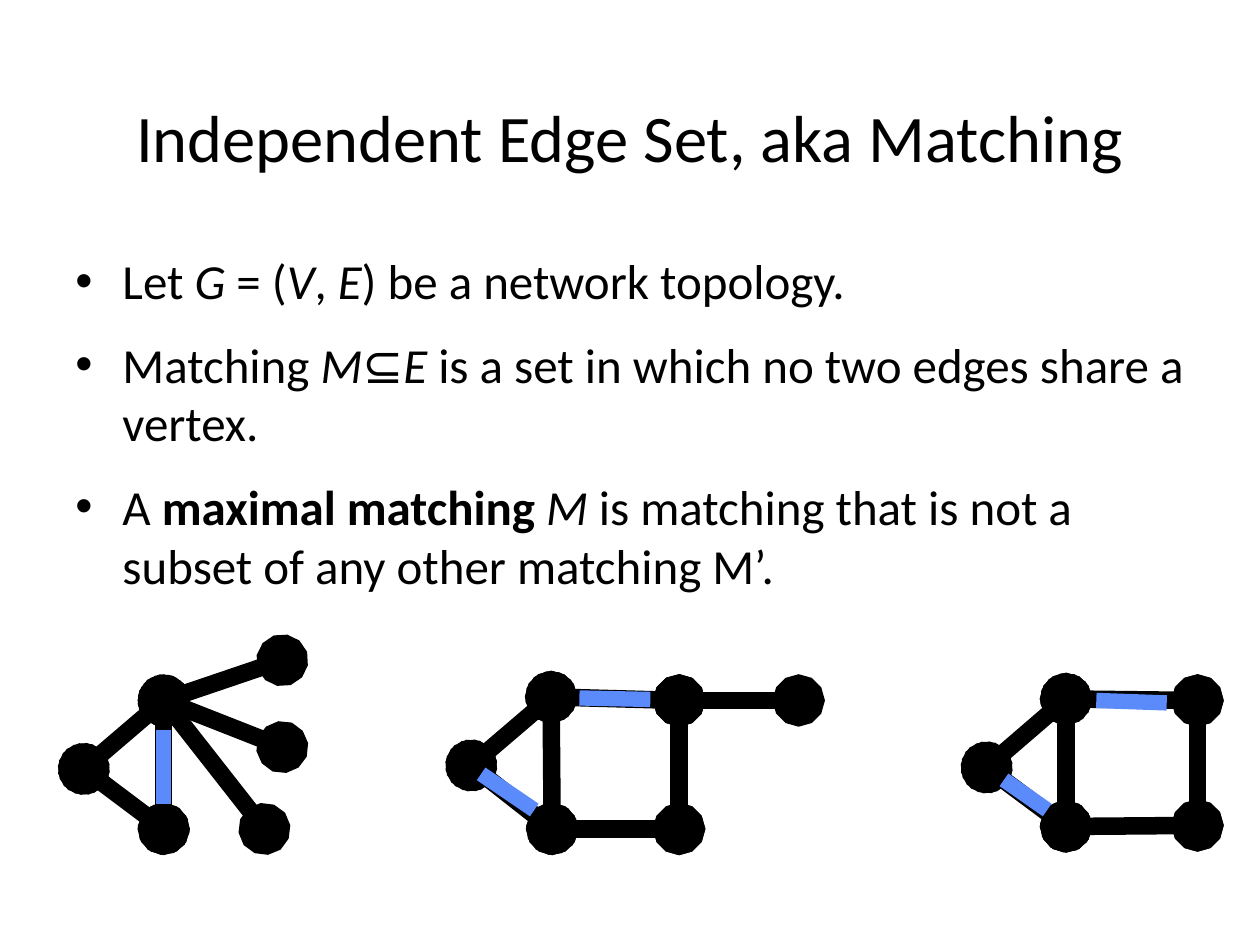
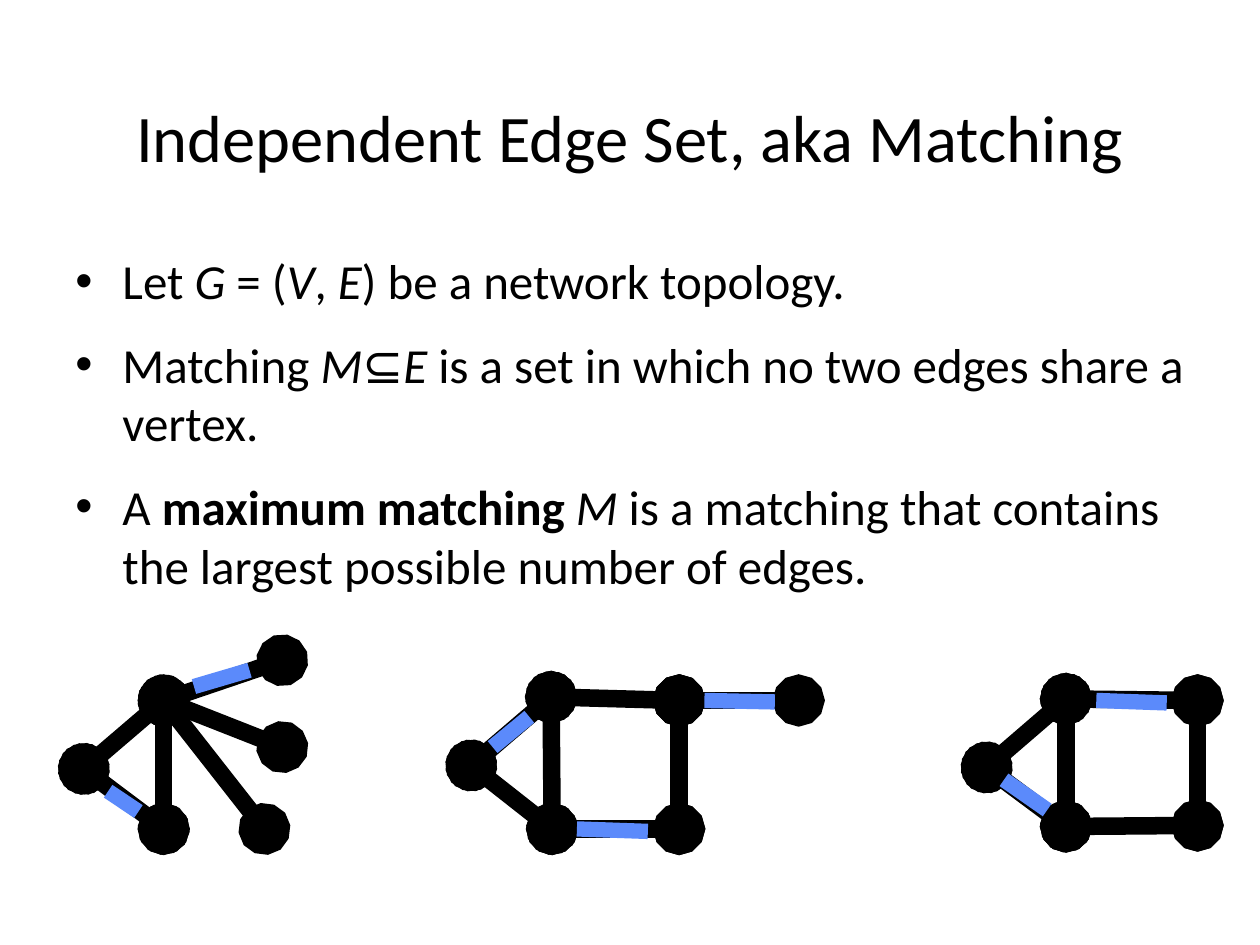
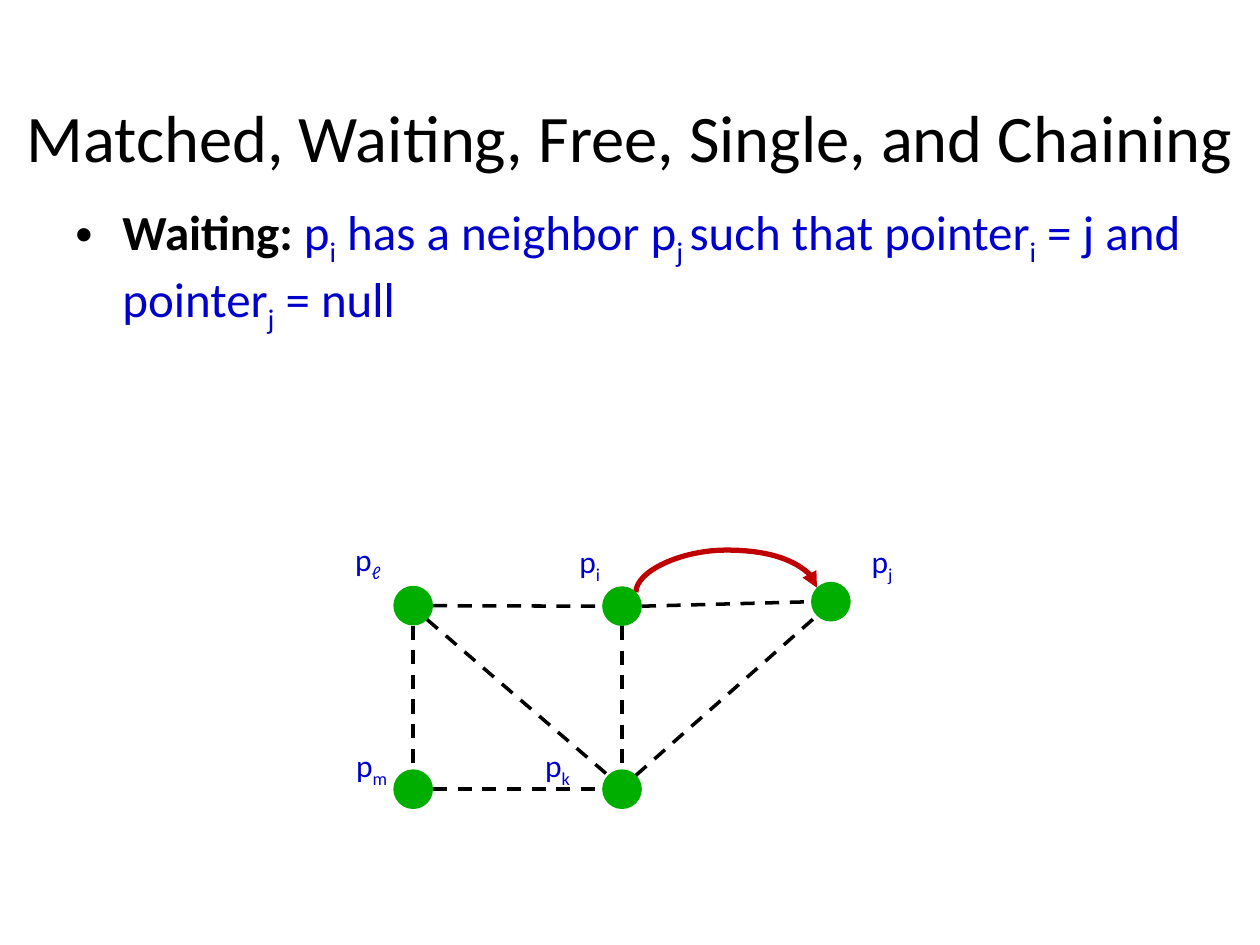
from lxml.etree import SubElement
from pptx import Presentation
from pptx.dml.color import RGBColor
from pptx.enum.dml import MSO_LINE
from pptx.enum.shapes import MSO_CONNECTOR as LINK, MSO_SHAPE
from pptx.enum.text import MSO_ANCHOR as ANCHOR, MSO_AUTO_SIZE as FIT, PP_ALIGN as ALIGN
from pptx.oxml.ns import qn
from pptx.util import Cm, Pt

BLACK = RGBColor(0x00, 0x00, 0x00)
MATCH_BLUE = RGBColor(0x5B, 0x8A, 0xFB)
TEXT_BLUE = RGBColor(0x00, 0x00, 0xCC)
NODE_GREEN = RGBColor(0x00, 0xAE, 0x00)
POINTER_RED = RGBColor(0xC0, 0x00, 0x00)

PLAIN = {}
BOLD = {"bold": True}
ITALIC = {"italic": True}
BLUE = {"color": TEXT_BLUE}
SUB = {"color": TEXT_BLUE, "baseline": -25000}

RADIUS = 0.4
DIAGONAL = 0.28
SITES = {
    "N": (0, -RADIUS), "S": (0, RADIUS), "W": (-RADIUS, 0), "E": (RADIUS, 0),
    "NW": (-DIAGONAL, -DIAGONAL), "NE": (DIAGONAL, -DIAGONAL),
    "SW": (-DIAGONAL, DIAGONAL), "SE": (DIAGONAL, DIAGONAL),
}

STAR_NODES = {
    "hub": (3.3, 14.12), "left": (1.69, 15.5), "low": (3.3, 16.71),
    "far low": (5.33, 16.71), "far top": (5.69, 13.31), "far middle": (5.69, 15.06),
}
STAR_EDGES = [("hub", "far low"), ("hub", "low"), ("hub", "left"), ("low", "left"),
              ("far top", "hub"), ("far middle", "hub")]
HOUSE_EDGES = [("top", "left"), ("low", "left"), ("far top", "top"), ("top", "low"),
               ("far top", "far low"), ("far low", "low")]
KITE_NODES = {
    "top": (11.11, 14.05), "left": (9.5, 15.43), "low": (11.13, 16.71),
    "far top": (13.69, 14.12), "far low": (13.69, 16.71), "tail": (16.1, 14.12),
}
KITE_EDGES = HOUSE_EDGES + [("tail", "far top")]
HOUSE_NODES = {
    "top": (21.49, 14.09), "left": (19.89, 15.47), "low": (21.49, 16.66),
    "far top": (24.14, 14.12), "far low": (24.14, 16.64),
}
HOUSE_MATCHING = [((22.1, 14.12), (23.52, 14.17)), ((20.24, 15.72), (21.11, 16.33))]
MAXIMAL_MATCHING = HOUSE_MATCHING + [
    ((3.3, 14.71), (3.3, 16.21)),
    ((11.68, 14.07), (13.11, 14.1)), ((9.7, 15.6), (10.77, 16.33)),
]
MAXIMUM_MATCHING = HOUSE_MATCHING + [
    ((2.18, 15.95), (2.79, 16.36)), ((3.91, 13.84), (5.03, 13.51)),
    ((14.2, 14.12), (15.62, 14.15)), ((9.93, 15.06), (10.67, 14.45)),
    ((11.63, 16.71), (13.06, 16.76)),
]

MATCHING_TITLE = "Independent Edge Set, aka Matching"
TOPOLOGY = [("Let ", PLAIN), ("G", ITALIC), (" = (", PLAIN), ("V", ITALIC), (", ", PLAIN),
            ("E", ITALIC), (") be a network topology.", PLAIN)]
MATCHING = [("Matching ", PLAIN), ("M", ITALIC), ("⊆", PLAIN), ("E ", ITALIC),
            ("is a set in which no two edges share a vertex.", PLAIN)]
WAITING = [("Waiting:", BOLD), (" p", BLUE), ("i", SUB), (" has a neighbor p", BLUE),
           ("j ", SUB), ("such that pointer", BLUE), ("i", SUB), (" = j and pointer", BLUE),
           ("j", SUB), (" = null", BLUE)]

PROCESSES = {"ℓ": (8.33, 12.21), "i": (12.54, 12.22), "j": (16.75, 12.13),
             "k": (12.54, 15.91), "m": (8.33, 15.91)}
LABELS = {"ℓ": (6.91, 10.77, 1.07), "i": (11.43, 10.8, 0.94), "j": (17.32, 10.8, 0.94),
          "k": (10.74, 14.91, 1.04), "m": (6.93, 14.91, 1.19)}
LINKS = [("i", "E", "j", "W"), ("i", "S", "k", "N"), ("ℓ", "SE", "k", "NW"),
         ("ℓ", "E", "i", "W"), ("k", "NE", "j", "SW"), ("ℓ", "S", "m", "N"),
         ("m", "E", "k", "W")]


class Deck:
    """Holds the shared style and the slide being filled."""

    font = "Calibri"

    def __init__(self):
        self.prs = Presentation()
        self.prs.slide_width, self.prs.slide_height = Cm(25.4), Cm(19.05)
        self.shapes = None

    def new_slide(self, title, left=1.27, width=22.86):
        self.shapes = self.prs.slides.add_slide(self.prs.slide_layouts[6]).shapes
        frame = self.text_frame(left, 1.14, width, 3.18, vertical_anchor=ANCHOR.MIDDLE)
        frame.paragraphs[0].alignment = ALIGN.CENTER
        self.add_runs(frame.paragraphs[0], [(title, PLAIN)], 38)

    def text_frame(self, left, top, width, height, **settings):
        frame = self.shapes.add_textbox(Cm(left), Cm(top), Cm(width), Cm(height)).text_frame
        for name, value in {"word_wrap": True, **settings}.items():
            setattr(frame, name, value)
        return frame

    def add_runs(self, paragraph, runs, size):
        for text, style in runs:
            run = paragraph.add_run()
            run.text = text
            settings = {"name": self.font, "size": Pt(size), "color": BLACK, **style}
            run.font.color.rgb = settings.pop("color")
            if "baseline" in settings:
                run._r.get_or_add_rPr().set("baseline", str(settings.pop("baseline")))
            for name, value in settings.items():
                setattr(run.font, name, value)

    def bullets(self, top, height, points):
        frame = self.text_frame(1.27, top, 22.86, height)
        for number, runs in enumerate(points):
            paragraph = frame.add_paragraph() if number else frame.paragraphs[0]
            paragraph.space_after = Pt(14)
            props = paragraph._p.get_or_add_pPr()
            props.set("marL", str(Cm(0.95)))
            props.set("indent", str(-Cm(0.95)))
            SubElement(props, qn("a:buFont"), typeface="Arial")
            SubElement(props, qn("a:buChar"), char="•")
            self.add_runs(paragraph, runs, 28)

    def line(self, start, end, color, weight, kind=LINK.STRAIGHT, dash=None, **ends):
        line = self.shapes.add_connector(kind, *(Cm(value) for value in (*start, *end)))
        line.line.color.rgb = color
        line.line.width = Pt(weight)
        if dash:
            line.line.dash_style = dash
        for tag, head in ends.items():
            SubElement(line.get_or_add_ln(), qn(f"a:{tag}"), type=head)
        SubElement(line._element.spPr, qn("a:effectLst"))
        return line

    def graph(self, nodes, edges):
        for start, end in edges:
            self.line(nodes[start], nodes[end], BLACK, 10, headEnd="oval", tailEnd="oval")

    def marks(self, matching):
        for start, end in matching:
            self.line(start, end, MATCH_BLUE, 8.75)

    def arc(self, start, end, bulge):
        run, rise = end[0] - start[0], start[1] - end[1]
        middle_x, middle_y = (start[0] + end[0]) / 2, (start[1] + end[1]) / 2
        arc = self.line((middle_x - rise / 2, middle_y - run / 2),
                        (middle_x + rise / 2, middle_y + run / 2),
                        POINTER_RED, 3, LINK.CURVE, tailEnd="triangle")
        props = arc._element.spPr
        for name, value in {"rot": "5400000", "flipH": "1", "flipV": "1"}.items():
            props.find(qn("a:xfrm")).set(name, value)
        SubElement(props.find(qn("a:prstGeom")).find(qn("a:avLst")), qn("a:gd"),
                   name="adj1", fmla=f"val {round(bulge / rise * 100000)}")

    def node(self, center):
        corner = (Cm(value - RADIUS) for value in center)
        node = self.shapes.add_shape(MSO_SHAPE.OVAL, *corner, Cm(2 * RADIUS), Cm(2 * RADIUS))
        node.shadow.inherit = False
        node.fill.solid()
        node.fill.fore_color.rgb = NODE_GREEN
        node.line.fill.background()

    def label(self, index, left, top, width):
        frame = self.text_frame(left, top, width, 1.02, word_wrap=False,
                                auto_size=FIT.SHAPE_TO_FIT_TEXT)
        self.add_runs(frame.paragraphs[0], [("p", BLUE), (index, SUB)], 18)


def site(process, side):
    return tuple(c + offset for c, offset in zip(PROCESSES[process], SITES[side]))


def matching_slide(deck, kind, definition, matching):
    deck.new_slide(MATCHING_TITLE)
    deck.bullets(4.93, 12.6, [TOPOLOGY, MATCHING, [
        ("A ", PLAIN), (f"{kind} matching ", BOLD), ("M", ITALIC), (definition, PLAIN)]])
    deck.graph(STAR_NODES, STAR_EDGES)
    deck.graph(KITE_NODES, KITE_EDGES)
    deck.graph(HOUSE_NODES, HOUSE_EDGES)
    deck.marks(matching)


def waiting_slide(deck):
    deck.new_slide("Matched, Waiting, Free, Single, and Chaining", 0, 25.4)
    deck.bullets(3.94, 2.79, [WAITING])
    deck.arc(site("i", "NE"), site("j", "NW"), 0.85)
    for center in PROCESSES.values():
        deck.node(center)
    for start, start_side, end, end_side in LINKS:
        deck.line(site(start, start_side), site(end, end_side), BLACK, 2, dash=MSO_LINE.DASH)
    for index, place in LABELS.items():
        deck.label(index, *place)


def main():
    deck = Deck()
    matching_slide(deck, "maximal",
                   " is matching that is not a subset of any other matching M’.",
                   MAXIMAL_MATCHING)
    matching_slide(deck, "maximum",
                   " is a matching that contains the largest possible number of edges.",
                   MAXIMUM_MATCHING)
    waiting_slide(deck)
    deck.prs.save("out.pptx")


if __name__ == "__main__":
    main()
